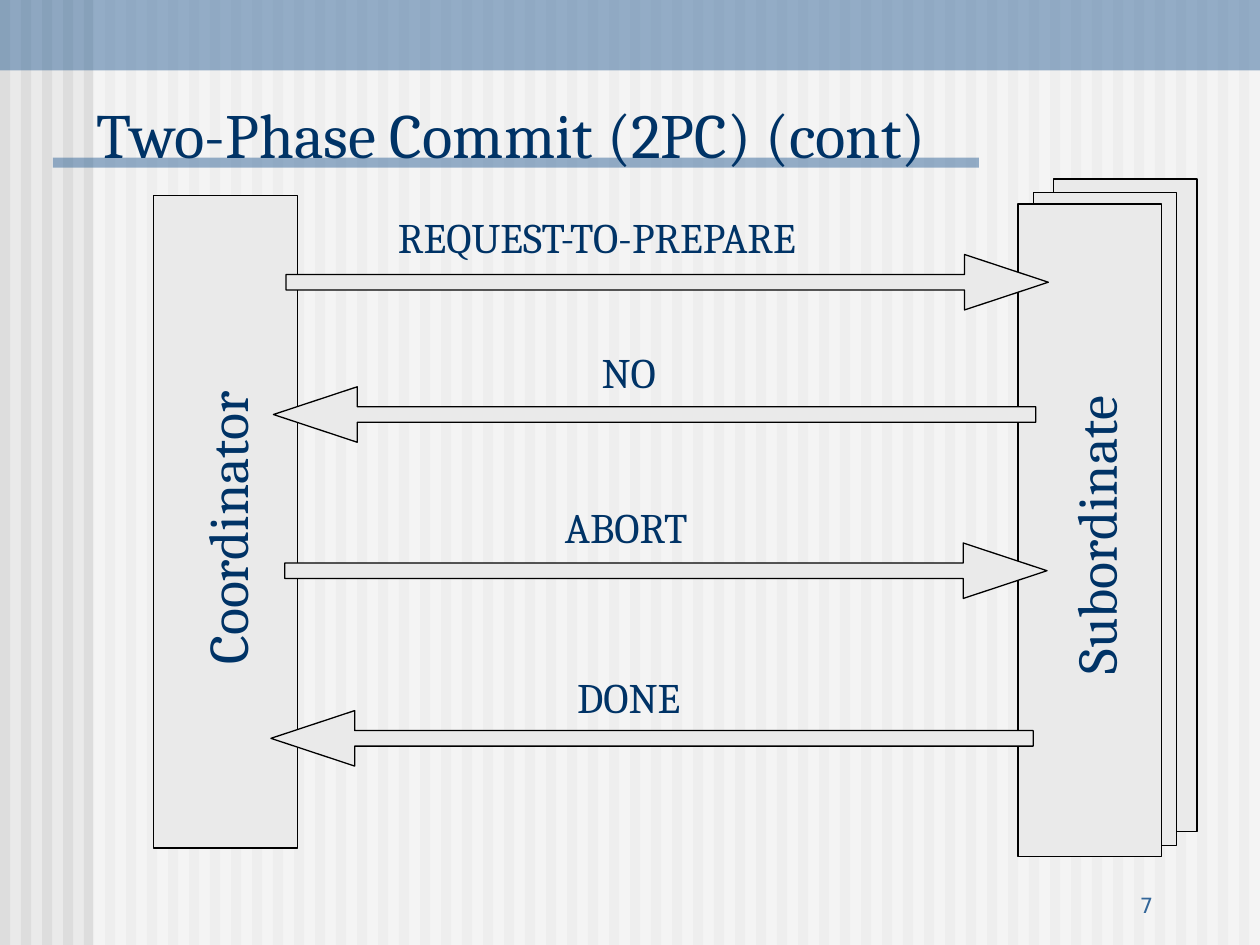
"""Build the two-phase commit abort slide."""
from typing import NamedTuple

from lxml.etree import SubElement
from pptx import Presentation
from pptx.dml.color import RGBColor
from pptx.enum.shapes import MSO_SHAPE
from pptx.enum.text import MSO_ANCHOR, PP_ALIGN
from pptx.oxml.ns import qn
from pptx.util import Inches, Pt

PALE = RGBColor(0xEA, 0xEA, 0xEA)
GREY = RGBColor(0xDD, 0xDD, 0xDD)
WHITE = RGBColor(0xFF, 0xFF, 0xFF)
BLUE = RGBColor(0x33, 0x66, 0x99)
NAVY = RGBColor(0x00, 0x33, 0x66)
BLACK = RGBColor(0x00, 0x00, 0x00)
SERIF = "Cambria"
SANS = "DejaVu Sans"


class Box(NamedTuple):
    left: float
    top: float
    width: float
    height: float


class Message(NamedTuple):
    label: str
    text_left: float
    text_top: float
    left: float
    top: float
    back: bool = False
    align: PP_ALIGN = PP_ALIGN.CENTER


BANDS = [
    (Box(0.74, 0, 9.26, 7.5), WHITE),
    (Box(0, 0, 10, 0.56), BLUE),
    (Box(0.42, 1.25, 7.35, 0.08), BLUE),
]
PANELS = [(1.22, 1.55), (8.36, 1.42), (8.2, 1.53), (8.08, 1.62)]
ROLES = [
    ("Coordinator", Box(0.48, 3.75, 2.62, 0.63)),
    ("Subordinate", Box(7.38, 3.83, 2.61, 0.63)),
]
MESSAGES = [
    Message("REQUEST-TO-PREPARE", 3.06, 1.63, 2.27, 2.02, align=PP_ALIGN.LEFT),
    Message("NO", 2.73, 2.7, 2.17, 3.07, back=True),
    Message("ABORT", 2.71, 3.93, 2.26, 4.31),
    Message("DONE", 2.73, 5.28, 2.15, 5.64, back=True),
]


def add_shape(slide, box: Box, fill: RGBColor, *, kind=MSO_SHAPE.RECTANGLE,
              alpha: int = 100, outline: bool = False):
    shape = slide.shapes.add_shape(kind, *map(Inches, box))
    shape.shadow.inherit = False
    shape.fill.solid()
    shape.fill.fore_color.rgb = fill
    if alpha < 100:
        color = shape.fill._xPr.find(f".//{qn('a:srgbClr')}")
        SubElement(color, qn("a:alpha"), val=str(alpha * 1000))
    if outline:
        shape.line.color.rgb = BLACK
        shape.line.width = Pt(0.75)
    else:
        shape.line.fill.background()
    return shape


def add_text(slide, text: str, box: Box, *, size: int, font: str = SERIF,
             color: RGBColor = NAVY, align=PP_ALIGN.LEFT,
             anchor=MSO_ANCHOR.TOP, turn: int = 0) -> None:
    shape = slide.shapes.add_textbox(*map(Inches, box))
    shape.rotation = turn
    frame = shape.text_frame
    frame.word_wrap = True
    frame.vertical_anchor = anchor
    para = frame.paragraphs[0]
    para.alignment = align
    run = para.add_run()
    run.text = text
    run.font.size = Pt(size)
    run.font.name = font
    run.font.color.rgb = color


def add_message(slide, item: Message) -> None:
    arrow = add_shape(slide, Box(item.left, item.top, 6.05, 0.44), PALE,
                      kind=MSO_SHAPE.RIGHT_ARROW, outline=True)
    arrow.adjustments[0] = 0.28
    arrow.adjustments[1] = 1.51
    arrow.rotation = 180 if item.back else 0
    add_text(slide, item.label, Box(item.text_left, item.text_top, 4.52, 0.5),
             size=24, align=item.align)


def main() -> None:
    deck = Presentation()
    deck.slide_width, deck.slide_height = Inches(10), Inches(7.5)
    slide = deck.slides.add_slide(deck.slide_layouts[6])
    slide.background.fill.solid()
    slide.background.fill.fore_color.rgb = PALE

    for step in range(60):
        add_shape(slide, Box(step / 6, 0, 0.08, 7.5), GREY)
    for box, color in BANDS:
        add_shape(slide, box, color, alpha=50)

    add_text(slide, "7", Box(7.17, 6.83, 2.08, 0.5), size=12, font=SANS,
             color=BLUE, align=PP_ALIGN.RIGHT, anchor=MSO_ANCHOR.BOTTOM)
    add_text(slide, "Two-Phase Commit (2PC) (cont)", Box(0.67, 0.58, 9.08, 0.83),
             size=36, anchor=MSO_ANCHOR.BOTTOM)

    for left, top in PANELS:
        add_shape(slide, Box(left, top, 1.14, 5.18), PALE, outline=True)
    for role, box in ROLES:
        add_text(slide, role, box, size=32, turn=270)
    for item in MESSAGES:
        add_message(slide, item)

    deck.save("out.pptx")


if __name__ == "__main__":
    main()
